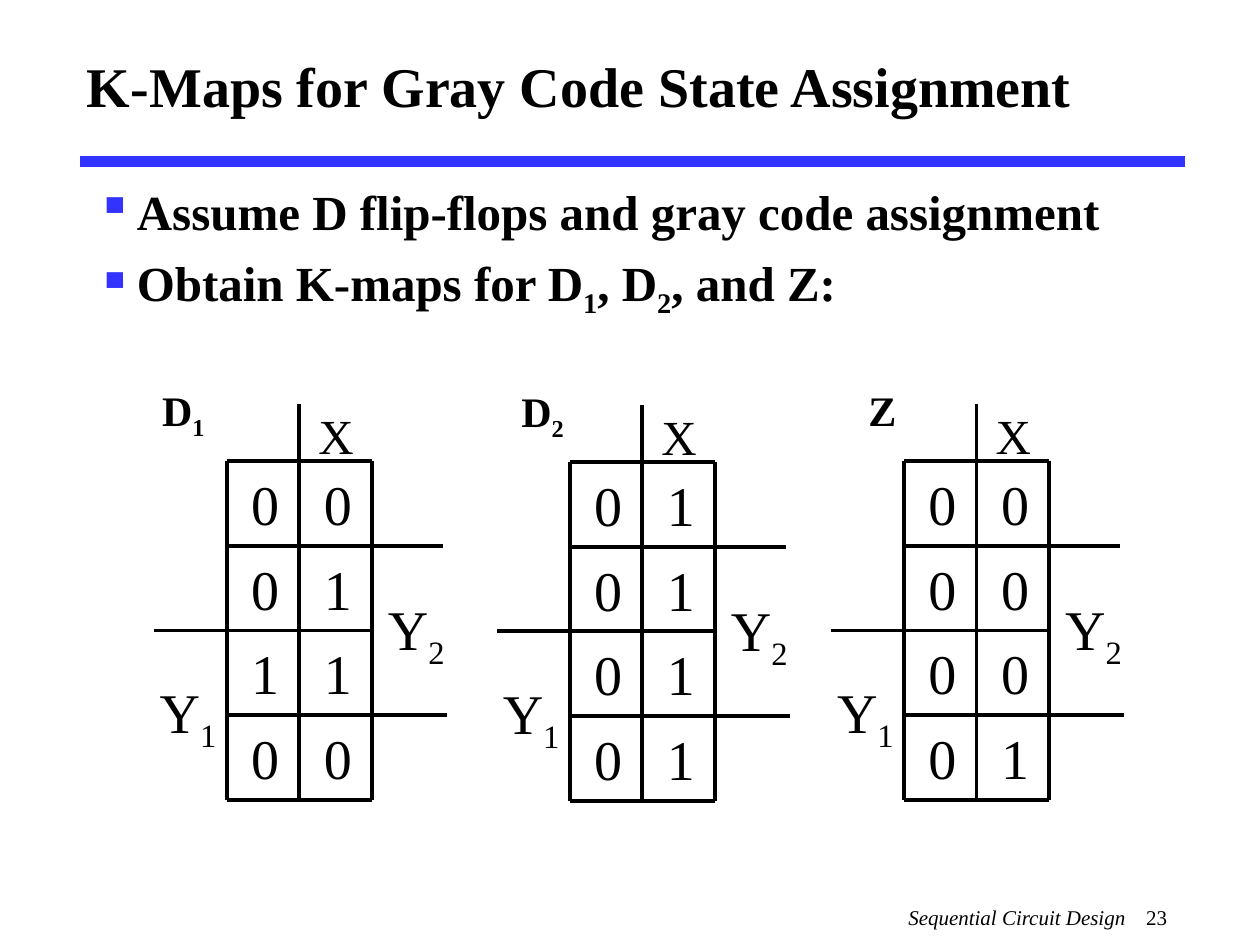
from dataclasses import dataclass

from lxml import etree
from pptx import Presentation
from pptx import util as u
from pptx.dml import color
from pptx.enum import shapes, text
from pptx.oxml import ns


@dataclass(frozen=True)
class Theme:
    """Colours, font and type sizes of the slide."""
    ink: str = "000000"
    accent: str = "3333FF"
    font: str = "Times New Roman"
    title: int = 32
    body: int = 28
    name: int = 24
    value: int = 32
    footer: int = 12


THEME = Theme()
ROW, COLUMN = 48.4, 41.5
Y1 = [("Y", False), ("1", True)]
Y2 = [("Y", False), ("2", True)]


def sub_element(parent, tag, **attributes):
    """Append a DrawingML element to a parent."""
    return etree.SubElement(parent, ns.qn(tag), attributes)


def add_runs(paragraph, parts, size, bold=False):
    """Write (wording, is_subscript) parts as formatted runs."""
    for wording, is_subscript in parts:
        run = paragraph.add_run()
        run.text = wording
        run.font.name = THEME.font
        run.font.size = u.Pt(size)
        run.font.bold = bold
        run.font.color.rgb = color.RGBColor.from_string(THEME.ink)
        if is_subscript:
            run.font._element.set("baseline", "-25000")


def add_label(slide, left, top, width, height, parts, size, bold=False, wrap=True):
    """Add a one-paragraph text box."""
    label = slide.shapes.add_textbox(u.Pt(left), u.Pt(top), u.Pt(width), u.Pt(height))
    label.text_frame.word_wrap = wrap
    paragraph = label.text_frame.paragraphs[0]
    add_runs(paragraph, parts, size, bold)
    return paragraph


def add_rule(slide, start, end, tint=THEME.ink, weight=2.25):
    """Draw a straight line without shadow."""
    rule = slide.shapes.add_connector(
        shapes.MSO_CONNECTOR.STRAIGHT, *(u.Pt(value) for value in (*start, *end)))
    rule.line.color.rgb = color.RGBColor.from_string(tint)
    rule.line.width = u.Pt(weight)
    sub_element(rule._element.spPr, "a:effectLst")


def add_title(slide, wording):
    """Place and format the title placeholder."""
    title = slide.shapes.title
    title.left, title.top = u.Pt(42.5), u.Pt(8.6)
    title.width, title.height = u.Pt(633), u.Pt(80.6)
    frame = title.text_frame
    frame.auto_size = text.MSO_AUTO_SIZE.NONE
    frame.vertical_anchor = text.MSO_ANCHOR.MIDDLE
    frame.paragraphs[0].alignment = text.PP_ALIGN.LEFT
    add_runs(frame.paragraphs[0], [(wording, False)], THEME.title, bold=True)


def add_bullets(slide, items):
    """Add the bulleted statements."""
    box = slide.shapes.add_textbox(u.Pt(48.2), u.Pt(100), u.Pt(612), u.Pt(90))
    frame = box.text_frame
    frame.word_wrap = True
    for index, parts in enumerate(items):
        paragraph = frame.add_paragraph() if index else frame.paragraphs[0]
        properties = paragraph._p.get_or_add_pPr()
        properties.set("marL", str(u.Pt(23)))
        properties.set("indent", str(-u.Pt(23)))
        tint = sub_element(properties, "a:buClr")
        sub_element(tint, "a:srgbClr", val=THEME.accent)
        sub_element(properties, "a:buChar", char="▪")
        if index:
            paragraph.space_before = u.Pt(7)
        add_runs(paragraph, parts, THEME.body, bold=True)


def add_footer(slide, section, number):
    """Add the section name and page number, parted by a tab stop."""
    paragraph = add_label(slide, 512, 513.4, 168, 26.6,
                          [(section, False), ("\t" + number, False)], THEME.footer)
    paragraph.runs[0].font.italic = True
    tabs = sub_element(paragraph._p.get_or_add_pPr(), "a:tabLst")
    sub_element(tabs, "a:tab", pos=str(u.Pt(135.8)), algn="l")


def add_kmap(slide, left, top, name, name_shift, values):
    """Draw a four-by-two K-map with its variables and values."""
    right, bottom = left + 2 * COLUMN, top + 4 * ROW
    overhangs = [(0, 0), (0, 40.5), (COLUMN, 0), (0, 43), (0, 0)]
    for row, (before, after) in enumerate(overhangs):
        y = top + row * ROW
        add_rule(slide, (left - before, y), (right + after, y))
    for column, rise in enumerate((0, 32.4, 0)):
        x = left + column * COLUMN
        add_rule(slide, (x, top - rise), (x, bottom))

    add_label(slide, left - name_shift, top - 47.5, 44, 40, name, THEME.name, bold=True)
    add_label(slide, left + 45.3, top - 35.3, 34.6, 41, [("X", False)], THEME.body, wrap=False)
    add_label(slide, right + 2, top + 72.7, 46.8, 51, Y2, THEME.value, wrap=False)
    add_label(slide, left - 45.3, top + 120.2, 46.8, 51, Y1, THEME.value, wrap=False)
    for row, pair in enumerate(values):
        for column, digit in enumerate(pair):
            add_label(slide, left + 7 + column * COLUMN, top + 1.2 + row * ROW,
                      28.8, 46, [(digit, False)], THEME.value)


def main():
    """Build and save the slide."""
    deck = Presentation()
    deck.slide_width, deck.slide_height = u.Pt(720), u.Pt(540)
    slide = deck.slides.add_slide(deck.slide_layouts[5])
    d1 = [("D", False), ("1", True)]
    d2 = [("D", False), ("2", True)]

    add_rule(slide, (46, 92.2), (677, 92.2), THEME.accent, 6)
    add_title(slide, "K-Maps for Gray Code State Assignment")
    add_bullets(slide, [
        [("Assume D flip-flops and gray code assignment", False)],
        [("Obtain K-maps for D", False), ("1", True), (", D", False),
         ("2", True), (", and Z:", False)],
    ])
    add_kmap(slide, 129.5, 263.5, d1, 43.9, ["00", "01", "11", "00"])
    add_kmap(slide, 325.5, 264, d2, 34.6, ["01", "01", "01", "01"])
    add_kmap(slide, 516.5, 263.5, [("Z", False)], 27.4, ["00", "00", "00", "01"])
    add_footer(slide, "Sequential Circuit Design", "23")
    deck.save("out.pptx")


if __name__ == "__main__":
    main()
